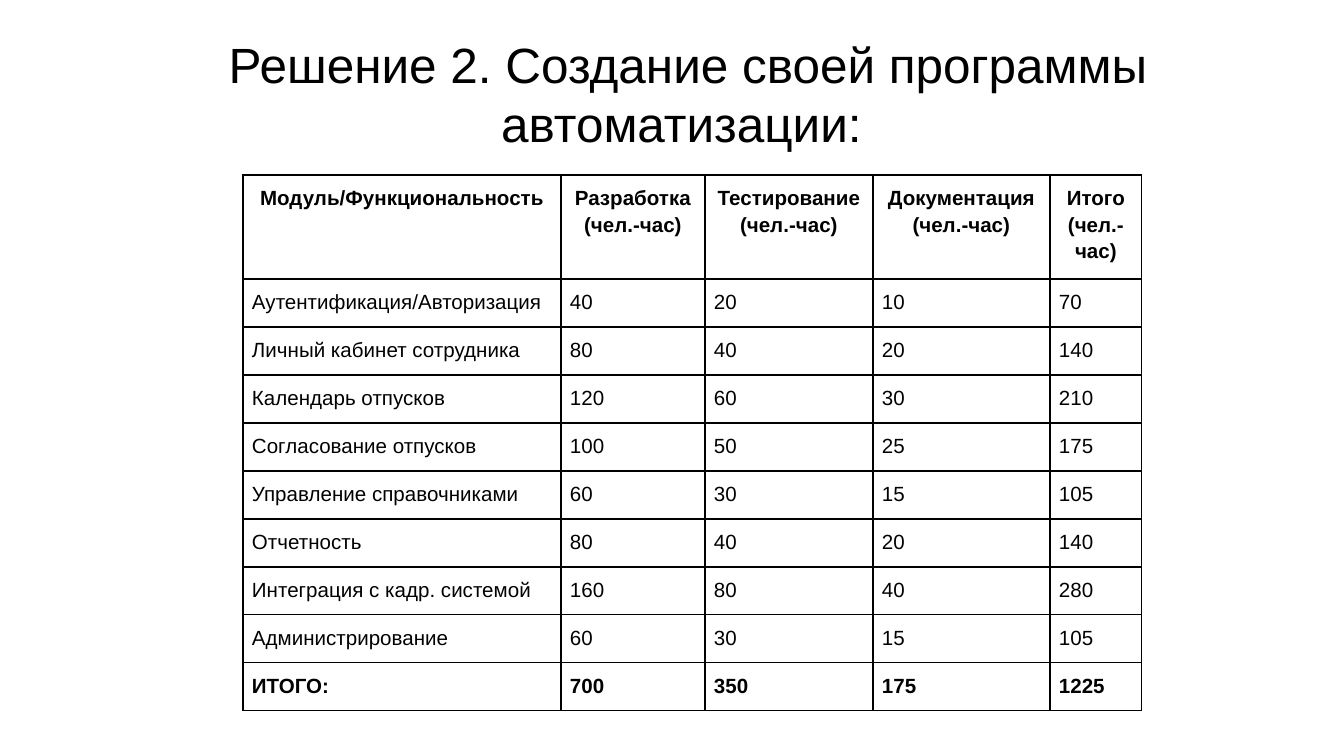
from lxml import etree
from pptx import Presentation
from pptx.dml.color import RGBColor
from pptx.enum.text import MSO_ANCHOR, MSO_AUTO_SIZE, PP_ALIGN
from pptx.oxml.ns import qn
from pptx.util import Emu, Pt

CENTER, LEFT = PP_ALIGN.CENTER, PP_ALIGN.LEFT
TOP, MIDDLE = MSO_ANCHOR.TOP, MSO_ANCHOR.MIDDLE
NO_FIT = MSO_AUTO_SIZE.NONE

SCALE = 9144000 / 1344  # EMU in one px
FONT = "Arial"
BLACK = "000000"

TITLE = "Решение 2. Создание своей программы автоматизации: "
HEAD = ["Модуль/Функциональность", "Разработка (чел.-час)",
        "Тестирование (чел.-час)", "Документация (чел.-час)",
        "Итого (чел.-час)"]
TASKS = [
    ("Аутентификация/Авторизация", 40, 20, 10, 70),
    ("Личный кабинет сотрудника", 80, 40, 20, 140),
    ("Календарь отпусков", 120, 60, 30, 210),
    ("Согласование отпусков", 100, 50, 25, 175),
    ("Управление справочниками", 60, 30, 15, 105),
    ("Отчетность", 80, 40, 20, 140),
    ("Интеграция с кадр. системой", 160, 80, 40, 280),
    ("Администрирование", 60, 30, 15, 105),
]
TOTAL = ("ИТОГО:", 700, 350, 175, 1225)
COLS = [318, 144, 168, 177, 92]
HEAD_H, ROW_H = 104, 48


def px(n):
    return Emu(round(n * SCALE))


def color(code):
    return RGBColor.from_string(code)


def style(par, size, align, bold=False):
    par.alignment = align
    for run in par.runs:
        font = run.font
        font.name, font.size, font.bold = FONT, Pt(size), bold
        font.color.rgb = color(BLACK)


def inset(box, pad):
    box.margin_left = box.margin_right = px(pad)
    box.margin_top = box.margin_bottom = px(pad)


def border(cell):
    props = cell._tc.get_or_add_tcPr()
    for i, side in enumerate(("lnL", "lnR", "lnT", "lnB")):
        line = etree.Element(qn("a:" + side), w=str(Pt(0.75)))
        fill = etree.SubElement(line, qn("a:solidFill"))
        etree.SubElement(fill, qn("a:srgbClr"), val=BLACK)
        props.insert(i, line)  # borders come before the fill


def fill_cell(cell, text, align, bold):
    cell.text = str(text)
    cell.vertical_anchor = TOP
    inset(cell, 9)
    par = cell.text_frame.paragraphs[0]
    par.line_spacing = 1.15
    style(par, 11, align, bold)
    cell.fill.background()
    border(cell)


def add_title(slide):
    title = slide.shapes.title
    title.left, title.top = px(79), px(31)
    title.width, title.height = px(1219), px(124)
    frame = title.text_frame
    frame.text = TITLE
    frame.word_wrap = True
    frame.auto_size = NO_FIT
    frame.vertical_anchor = MIDDLE
    inset(frame, 13)
    style(frame.paragraphs[0], 26.5, CENTER)


def add_grid(slide):
    rows = [HEAD, *TASKS, TOTAL]
    heights = [HEAD_H] + [ROW_H] * (len(rows) - 1)
    table = slide.shapes.add_table(
        len(rows), len(COLS), px(243), px(175),
        px(sum(COLS)), px(sum(heights))).table
    table.horz_banding = False
    for col, width in zip(table.columns, COLS):
        col.width = px(width)
    for r, row in enumerate(rows):
        table.rows[r].height = px(heights[r])
        align = CENTER if row is HEAD else LEFT
        bold = row is HEAD or row is TOTAL
        for c, text in enumerate(row):
            fill_cell(table.cell(r, c), text, align, bold)


def main():
    deck = Presentation()
    deck.slide_width, deck.slide_height = px(1344), px(756)
    slide = deck.slides.add_slide(deck.slide_layouts[5])  # title only
    add_title(slide)
    add_grid(slide)
    deck.save("out.pptx")


if __name__ == "__main__":
    main()
